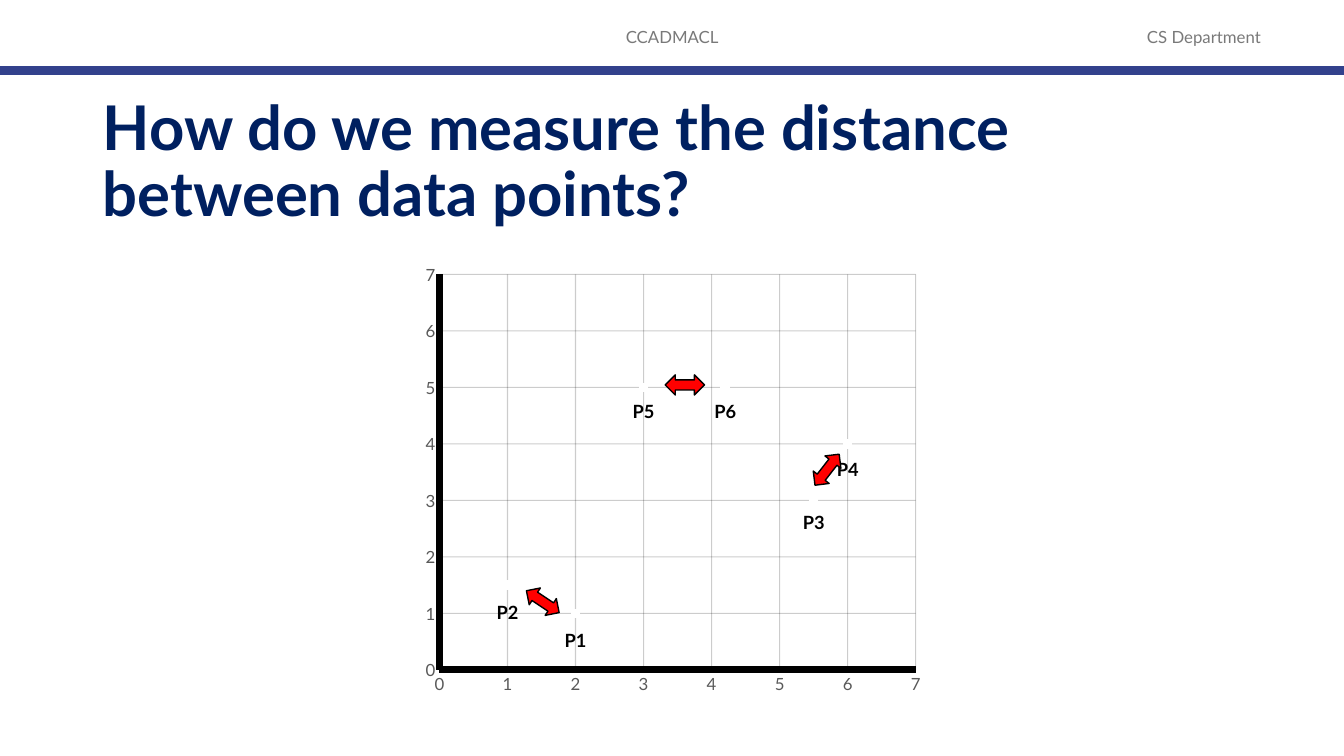
"""Build a slide showing distances between pairs of data points on a scatter chart."""
from lxml import etree
from pptx import Presentation
from pptx.chart.data import XyChartData
from pptx.dml.color import RGBColor
from pptx.enum.chart import XL_CHART_TYPE, XL_MARKER_STYLE, XL_TICK_MARK
from pptx.enum.shapes import MSO_CONNECTOR, MSO_SHAPE
from pptx.enum.text import MSO_ANCHOR, MSO_AUTO_SIZE, PP_ALIGN
from pptx.oxml import parse_xml
from pptx.oxml.ns import nsdecls, qn
from pptx.util import Pt

SCATTER = XL_CHART_TYPE.XY_SCATTER
CIRCLE = XL_MARKER_STYLE.CIRCLE
NO_TICK = XL_TICK_MARK.NONE
STRAIGHT = MSO_CONNECTOR.STRAIGHT
DOUBLE_ARROW = MSO_SHAPE.LEFT_RIGHT_ARROW
MIDDLE, TOP = MSO_ANCHOR.MIDDLE, MSO_ANCHOR.TOP
LEFT, CENTER = PP_ALIGN.LEFT, PP_ALIGN.CENTER
GROW = MSO_AUTO_SIZE.SHAPE_TO_FIT_TEXT

FONT = "Lato"
PAGE_WIDTH, PAGE_HEIGHT = 960, 540
TITLE = "How do we measure the distance between data points?"
TITLE_BOX = (66.2, 64.8, 828, 104.4)
HEADERS = [
    ("CCADMACL", (318.2, 12.2, 324, 28.8)),
    ("CS Department", (786.2, 12.2, 147.6, 28.8)),
]
RULE_Y = 50.4
POINTS = [
    ("P1", 2, 1, 7.4),
    ("P2", 1, 1.5, 8.2),
    ("P3", 5.5, 3, 3.9),
    ("P4", 6, 4, 6.5),
    ("P5", 3, 5, 5.5),
    ("P6", 4.2, 5, 5.5),
]
LABEL_WIDTH, LABEL_HEIGHT = 31, 23
ARROWS = [(387.7, 429.8, 33.7), (489.2, 275, 0), (590.8, 335.5, 307.9)]
ARROW_WIDTH, ARROW_HEIGHT = 28.1, 14.4
CHART_BOX = (299.5, 187.9, 360, 313.9)
PLOT = {"x": 0.04, "y": 0.026, "w": 0.945, "h": 0.9}
AXIS_MAX = 7


def color(value):
    return RGBColor.from_string(value)


def style_font(font, size, value, bold=False):
    font.name = FONT
    font.size = Pt(size)
    font.bold = bold
    font.color.rgb = color(value)


def write(shape, text, size, value, bold=False, align=LEFT, anchor=TOP):
    frame = shape.text_frame
    frame.vertical_anchor = anchor
    para = frame.paragraphs[0]
    para.alignment = align
    span = para.add_run()
    span.text = text
    style_font(span.font, size, value, bold)
    return frame


def add_text(page, box, *content, wrap=True, **options):
    shape = page.shapes.add_textbox(*map(Pt, box))
    frame = write(shape, *content, **options)
    frame.word_wrap = wrap
    if not wrap:
        frame.auto_size = GROW


def style_axis(axis):
    axis.minimum_scale, axis.maximum_scale, axis.major_unit = 0, AXIS_MAX, 1
    axis.major_tick_mark = axis.minor_tick_mark = NO_TICK
    style_font(axis.tick_labels.font, 12, "595959")
    axis.format.line.width = Pt(5)
    axis.format.line.color.rgb = color("000000")
    axis.has_major_gridlines = True
    grid = axis.major_gridlines.format.line
    grid.width = Pt(0.75)
    grid.color.rgb = color("000000")


def add_chart(page):
    data = XyChartData()
    series_data = data.add_series("Series 1")
    for _, x, y, _ in POINTS:
        series_data.add_data_point(x, y)
    chart = page.shapes.add_chart(SCATTER, *map(Pt, CHART_BOX), data).chart
    chart.has_legend = chart.has_title = False
    style_font(chart.font, 10, "000000")
    for axis in (chart.category_axis, chart.value_axis):
        style_axis(axis)
    chart.plots[0].vary_by_categories = False
    series = chart.plots[0].series[0]
    series.smooth = False
    series.format.line.fill.background()
    marker = series.marker
    marker.style, marker.size = CIRCLE, 6
    marker.format.fill.solid()
    marker.format.fill.fore_color.rgb = color("FFFFFF")
    marker.format.line.color.rgb = color("FFFFFF")

    root = chart.element if hasattr(chart, "element") else chart._chartSpace
    for lines in root.iter(qn("c:majorGridlines")):
        for tint in lines.iter(qn("a:srgbClr")):
            etree.SubElement(tint, qn("a:alpha")).set("val", "20000")
    area = root.find(".//" + qn("c:plotArea"))
    for layout in area.findall(qn("c:layout")):
        area.remove(layout)
    modes = "".join(f'<c:{key}Mode val="edge"/>' for key in "xy")
    sizes = "".join(f'<c:{key} val="{value}"/>' for key, value in PLOT.items())
    area.insert(0, parse_xml(
        f'<c:layout {nsdecls("c")}><c:manualLayout><c:layoutTarget val="inner"/>'
        f"{modes}{sizes}</c:manualLayout></c:layout>"))


def add_labels(page):
    left, top, width, height = CHART_BOX
    for name, x, y, gap in POINTS:
        center = left + width * (PLOT["x"] + PLOT["w"] * x / AXIS_MAX)
        level = top + height * (PLOT["y"] + PLOT["h"] * (1 - y / AXIS_MAX))
        box = (center + 0.7 - LABEL_WIDTH / 2, level + gap, LABEL_WIDTH, LABEL_HEIGHT)
        add_text(page, box, name, 13, "000000", bold=True, wrap=False)


def add_arrows(page):
    for x, y, angle in ARROWS:
        box = (x - ARROW_WIDTH / 2, y - ARROW_HEIGHT / 2, ARROW_WIDTH, ARROW_HEIGHT)
        arrow = page.shapes.add_shape(DOUBLE_ARROW, *map(Pt, box))
        arrow.shadow.inherit = False
        arrow.rotation = angle
        arrow.fill.solid()
        arrow.fill.fore_color.rgb = color("FF0000")
        arrow.line.color.rgb = color("000000")
        arrow.line.width = Pt(1)


def main():
    deck = Presentation()
    deck.slide_width, deck.slide_height = Pt(PAGE_WIDTH), Pt(PAGE_HEIGHT)
    page = deck.slides.add_slide(deck.slide_layouts[5])
    title = page.shapes.title
    title.left, title.top, title.width, title.height = map(Pt, TITLE_BOX)
    frame = write(title, TITLE, 44, "002060", bold=True, anchor=MIDDLE)
    frame.word_wrap = True
    frame.paragraphs[0].line_spacing = 0.9
    for text, box in HEADERS:
        add_text(page, box, text, 12, "797979", align=CENTER, anchor=MIDDLE)
    ends = map(Pt, (0, RULE_Y, PAGE_WIDTH, RULE_Y))
    rule = page.shapes.add_connector(STRAIGHT, *ends)
    rule.line.color.rgb = color("32418C")
    rule.line.width = Pt(6)
    etree.SubElement(rule._element.spPr, qn("a:effectLst"))
    add_chart(page)
    add_labels(page)
    add_arrows(page)
    deck.save("out.pptx")


if __name__ == "__main__":
    main()
